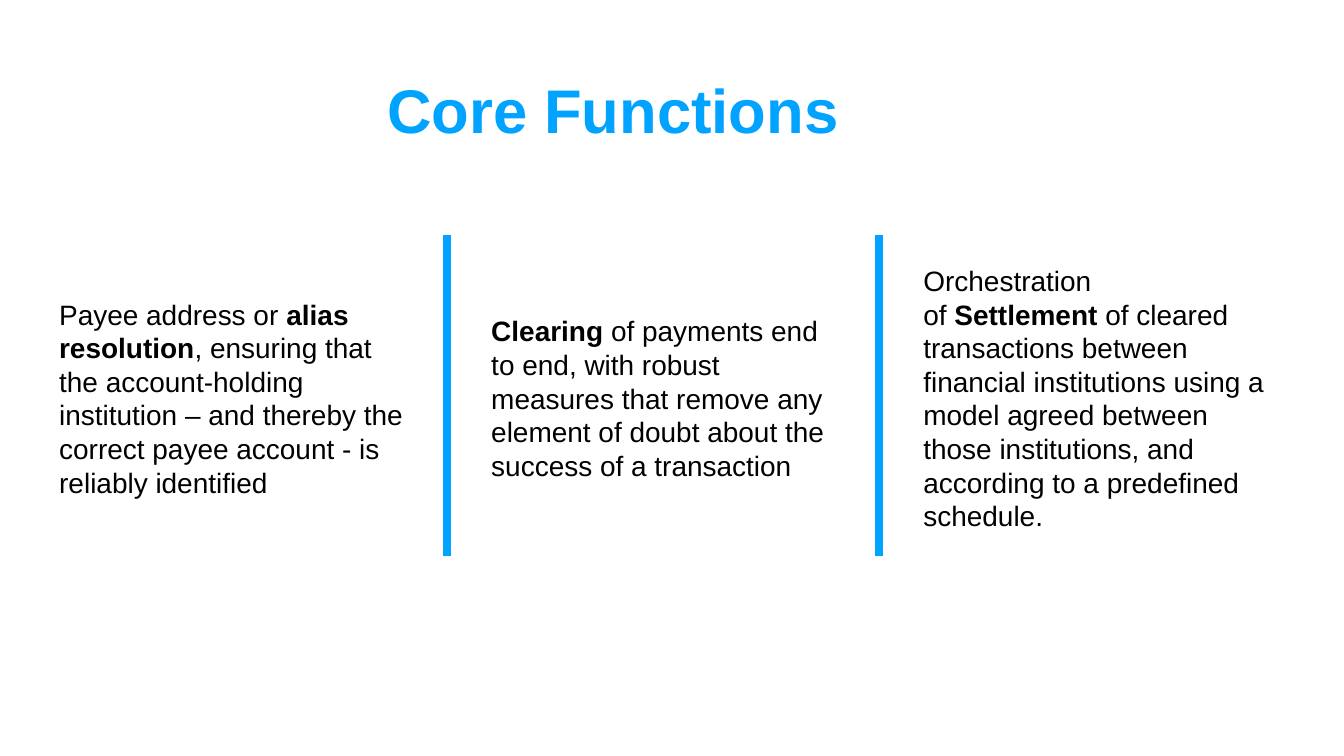
from pptx import Presentation
from pptx.dml.color import RGBColor
from pptx.enum.shapes import MSO_CONNECTOR
from pptx.enum.text import MSO_ANCHOR, PP_ALIGN
from pptx.oxml.ns import qn
from pptx.util import Inches, Pt
from lxml.etree import SubElement

BLUE = RGBColor(0x00, 0xA3, 0xFF)
BLACK = RGBColor(0x00, 0x00, 0x00)
HARD_SPACE = chr(160)

FUNCTIONS = [
    [("Payee address or" + HARD_SPACE, False), ("alias resolution", True),
     (", ensuring that the account-holding institution – and thereby the "
      "correct payee account - is reliably identified", False)],
    [("Clearing", True),
     (HARD_SPACE + "of payments end to end, with robust measures that remove "
      "any element of doubt about the success of a transaction", False)],
    [("Orchestration of" + HARD_SPACE, False), ("Settlement", True),
     (HARD_SPACE + "of cleared transactions between financial institutions "
      "using a model agreed between those institutions, and according to a "
      "predefined schedule.", False)],
]


def add_paragraph_box(slide, left, top, width, height, size, color):
    frame = slide.shapes.add_textbox(
        Inches(left), Inches(top), Inches(width), Inches(height)).text_frame
    frame.word_wrap = True
    frame.vertical_anchor = MSO_ANCHOR.MIDDLE
    frame.margin_left = frame.margin_right = Inches(0.04)
    frame.margin_top = frame.margin_bottom = Inches(0.02)
    paragraph = frame.paragraphs[0]
    paragraph.font.name = "Arial"
    paragraph.font.size = Pt(size)
    paragraph.font.color.rgb = color
    return paragraph


def add_title(slide, left, top, width, height):
    title = add_paragraph_box(slide, left, top, width, height, 33, BLUE)
    title.alignment = PP_ALIGN.CENTER
    title.line_spacing = 0.9
    title.font.bold = True
    title.add_run().text = "Core Functions"


def add_divider(slide, x, top, height):
    divider = slide.shapes.add_connector(
        MSO_CONNECTOR.STRAIGHT,
        Inches(x), Inches(top), Inches(x), Inches(top + height))
    divider.line.color.rgb = BLUE
    divider.line.width = Pt(4.5)
    SubElement(divider._element.spPr, qn("a:effectLst"))


def add_functions(slide, left, top, width, height):
    text_width, text_height = 2.69, 2.12
    pitch = (width - text_width) / (len(FUNCTIONS) - 1)
    for index, passages in enumerate(FUNCTIONS):
        column_left = left + index * pitch
        description = add_paragraph_box(
            slide, column_left, top + 0.15, text_width, text_height, 15, BLACK)
        for words, emphasized in passages:
            run = description.add_run()
            run.text = words
            run.font.bold = emphasized
        if index:
            add_divider(slide, column_left - 0.29, top, height)


def main():
    presentation = Presentation()
    presentation.slide_width = Inches(10)
    presentation.slide_height = Inches(10) * 9 // 16
    slide = presentation.slides.add_slide(presentation.slide_layouts[6])
    add_title(slide, 0.69, 0.3, 7.74, 1.09)
    add_functions(slide, 0.4, 1.75, 9.12, 2.39)
    presentation.save("out.pptx")


if __name__ == "__main__":
    main()
